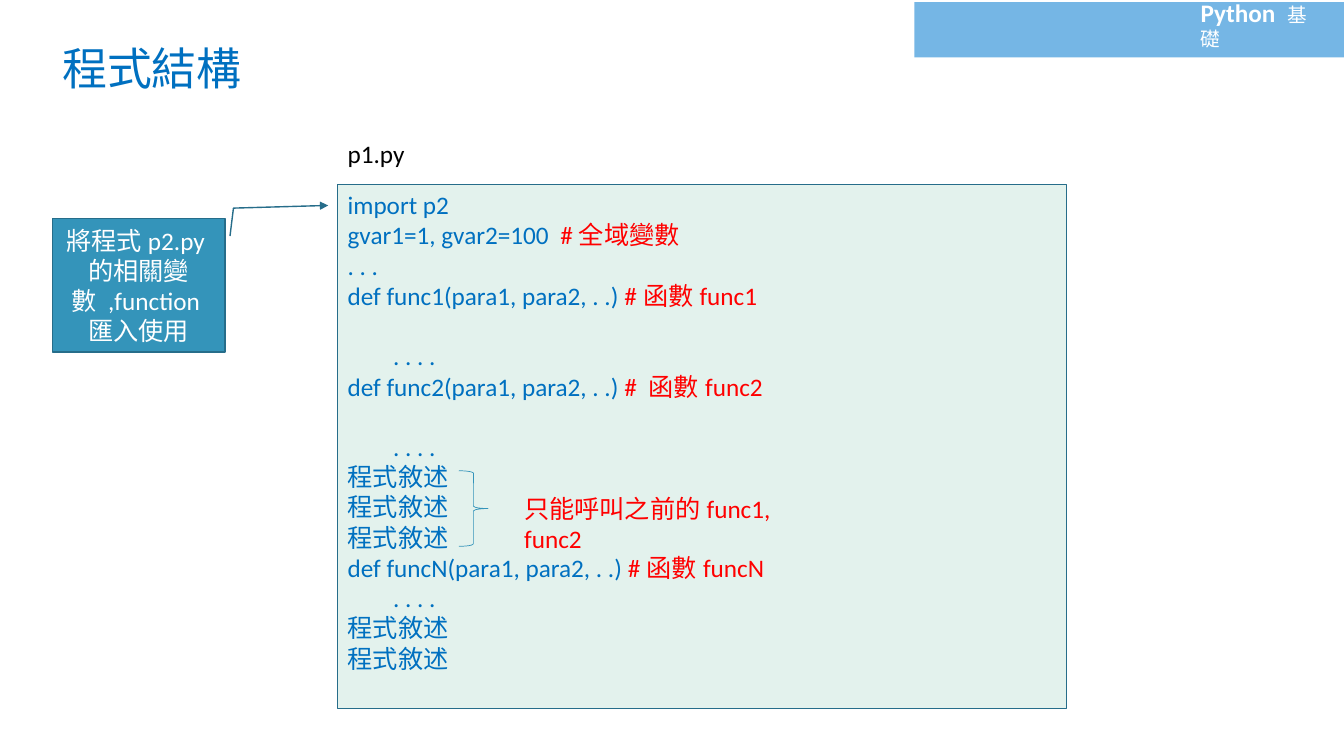
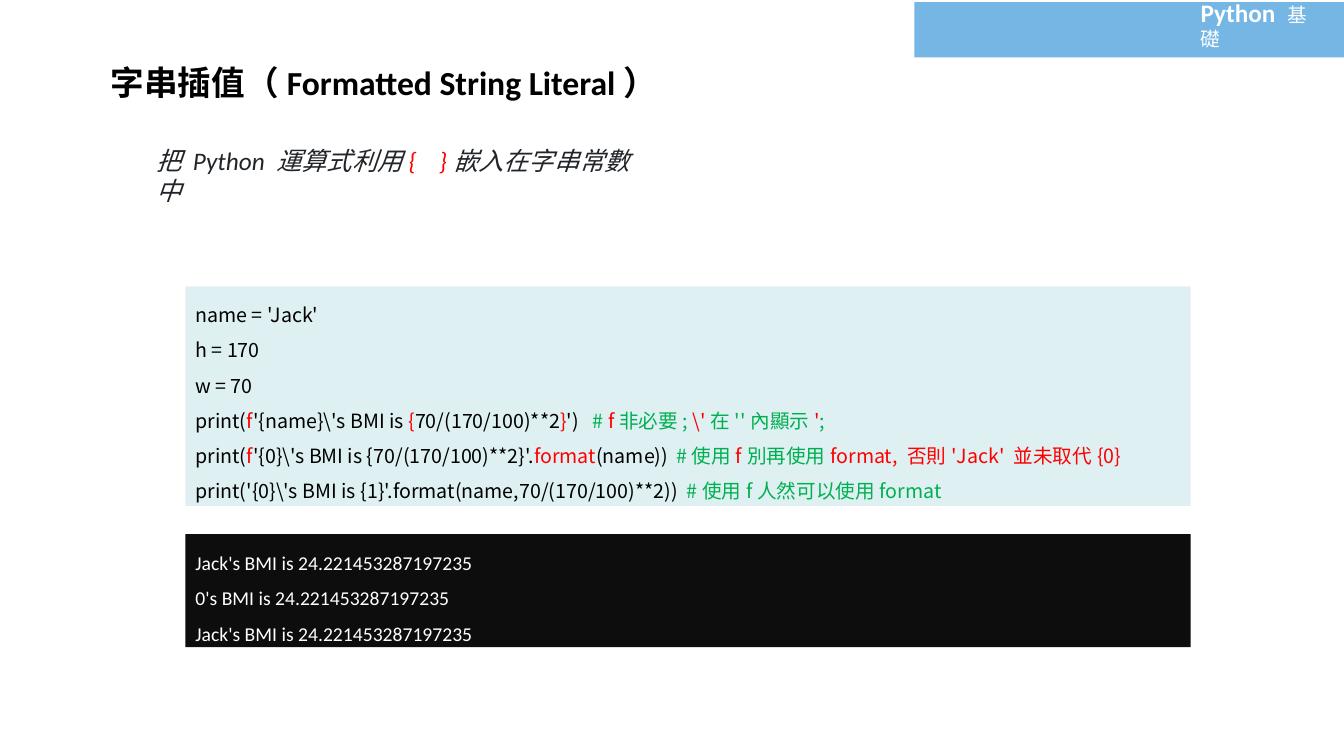
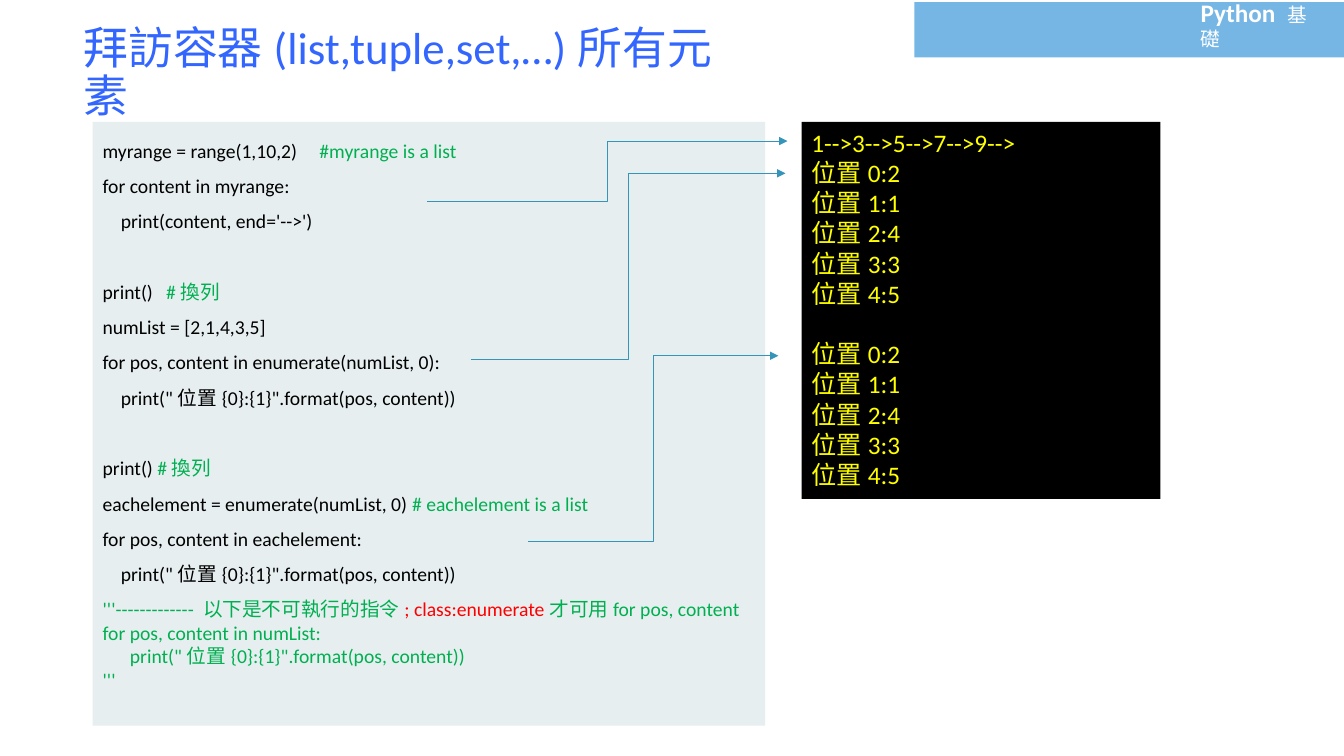
"""Build three teaching slides on Python program structure, f-strings and iteration."""
from typing import NamedTuple, Optional

from lxml.etree import SubElement
from pptx import Presentation
from pptx.dml.color import RGBColor
from pptx.enum.shapes import MSO_CONNECTOR as Link, MSO_SHAPE as Preset
from pptx.enum.text import MSO_ANCHOR as Anchor, PP_ALIGN as Align
from pptx.oxml.ns import qn
from pptx.util import Inches, Pt

WIDTH, HEIGHT = 13.33, 7.5
COLORS = dict(
    white="FFFFFF", black="000000", band="75B6E5", blue="0070C0", royal="3366FF",
    red="FF0000", green="00B050", yellow="FFFF00", ink="212529", accent="3494BA",
    edge="266D8A", mint="E3F2ED", aqua="DEF0F2", mist="E6EEF0", console="0D0D0D",
)


class Span(NamedTuple):
    text: str
    color: Optional[str] = None
    size: Optional[float] = None
    bold: Optional[bool] = None


class Line(NamedTuple):
    spans: list
    tab: float = 0
    indent: float = 0
    gap: float = 0
    spacing: Optional[float] = None


class Style(NamedTuple):
    size: float = 18
    color: str = "black"
    font: str = "Calibri"
    bold: bool = False
    italic: bool = False
    spacing: object = 1.0
    align: Align = Align.LEFT
    anchor: Anchor = Anchor.TOP


def line(*parts, **options):
    """Make a line from plain strings and (text, color) pairs."""
    return Line([Span(part) if isinstance(part, str) else Span(*part) for part in parts], **options)


def red(text):
    return text, "red"


def green(text):
    return text, "green"


HEADER = [line(("Python ", "white", 18, True), ("基礎", "white", 14))]
STATEMENT = line("程式敘述")
STRUCTURE = [
    line("import p2"),
    line("gvar1=1, gvar2=100\t", red("#全域變數"), tab=2.11),
    line(". . ."),
    line("def func1(para1, para2, . .)", red(" #函數func1")),
    line(". . . .", indent=0.45, gap=21.6),
    line("def func2(para1, para2, . .)", red(" # 函數func2")),
    line(". . . .", indent=0.45, gap=21.6),
    *[STATEMENT] * 3,
    line("def funcN(para1, para2, . .)", red(" #函數funcN")),
    line(". . . .", indent=0.45),
    *[STATEMENT] * 2,
]
CALL_NOTE = [line("只能呼叫之前的func1, func2")]
IMPORT_NOTE = [line("將程式p2.py的相關變數 ,function匯入使用")]

EMBED_NOTE = [line("把 Python 運算式利用", red("{    }"), "嵌入在字串常數中")]
FORMATTING = [
    line("name = 'Jack'"),
    line("h = 170"),
    line("w = 70"),
    line("print(", red("f"), "'{name}\\'s BMI is ", red("{"), "70/(170/100)**2", red("}"), "')\t",
         green("# "), red("f"), green("非必要; "), red("\\'"), green("在''內顯示"), red("'"),
         green(";"), tab=3.94),
    line("print(", red("f"), "'{0}\\'s BMI is {70/(170/100)**2}'.", red("format"), "(name))\t",
         green("#使用"), red("f"), green("別再使用"), red("format, 否則'Jack' 並未取代{0}"),
         tab=4.77),
    line("print('{0}\\'s BMI is {1}'.format(name,70/(170/100)**2))\t",
         green("#使用f人然可以使用format"), tab=4.87),
]
BMI_OUTPUT = [line(f"{name}'s BMI is 24.221453287197235") for name in ("Jack", "0", "Jack")]

PRINT_ITEM = 'print("位置{0}:{1}".format(pos, content))'
ITERATION = [
    line("myrange = range(1,10,2)\t", green("#myrange is a list"), tab=2.15),
    line("for content in myrange:"),
    line("print(content, end='-->')", indent=0.18),
    line("print()\t", green("#換列"), tab=0.63, gap=25.2),
    line("numList = [2,1,4,3,5]"),
    line("for pos, content in enumerate(numList, 0):"),
    line(PRINT_ITEM, indent=0.18),
    line("print() ", green("#換列"), gap=25.2),
    line("eachelement = enumerate(numList, 0) ", green("# eachelement is a list")),
    line("for pos, content in eachelement:"),
    line(PRINT_ITEM, indent=0.18),
    line(green("'''------------- 以下是不可執行的指令"), red("; class:enumerate"),
         green("才可用for pos, content")),
    line(green("for pos, content in numList:"), spacing=1.0),
    line(green(PRINT_ITEM), indent=0.27, spacing=1.0),
    line(green("'''"), spacing=1.0),
]
POSITIONS = [f"位置{index}:{value}" for index, value in enumerate((2, 1, 4, 3, 5))]
LOOP_OUTPUT = [
    line("1-->3-->5-->7-->9-->"),
    *[line(text) for text in POSITIONS],
    line(POSITIONS[0], gap=21.6),
    *[line(text) for text in POSITIONS[1:]],
]
OUTPUT_ARROWS = [
    ((4.24, 2), (7.81, 1.4)),
    ((4.67, 3.57), (7.79, 1.72)),
    ((5.24, 5.37), (7.72, 3.53)),
]


def rgb(name):
    return RGBColor.from_string(COLORS[name])


def write(shape, lines, style):
    """Fill a shape with styled lines."""
    frame = shape.text_frame
    frame.word_wrap = True
    frame.vertical_anchor = style.anchor
    for index, item in enumerate(lines):
        para = frame.add_paragraph() if index else frame.paragraphs[0]
        para.alignment = style.align
        para.line_spacing = item.spacing or style.spacing
        para.space_before = Pt(item.gap)
        properties = para._p.get_or_add_pPr()
        if item.indent:
            properties.set("marL", str(Inches(item.indent)))
            properties.set("indent", "0")
        if item.tab:
            stops = SubElement(properties, qn("a:tabLst"))
            SubElement(stops, qn("a:tab"), pos=str(Inches(item.tab)), algn="l")
        for span in item.spans:
            run = para.add_run()
            run.text = span.text
            font = run.font
            font.name = style.font
            font.size = Pt(span.size or style.size)
            font.bold = span.bold or style.bold
            font.italic = style.italic
            font.color.rgb = rgb(span.color or style.color)


def add_text(page, at, lines, style):
    write(page.shapes.add_textbox(*map(Inches, at)), lines, style)


def add_box(page, at, fill=None, edge=None, weight=1, preset=Preset.RECTANGLE):
    box = page.shapes.add_shape(preset, *map(Inches, at))
    box.shadow.inherit = False
    if fill:
        box.fill.solid()
        box.fill.fore_color.rgb = rgb(fill)
    else:
        box.fill.background()
    if edge:
        box.line.color.rgb = rgb(edge)
        box.line.width = Pt(weight)
    else:
        box.line.fill.background()
    return box


def add_panel(page, at, fill, lines, style, edge=None):
    write(add_box(page, at, fill, edge), lines, style)


def add_arrowhead(shape):
    SubElement(shape.line._get_or_add_ln(), qn("a:tailEnd"), type="triangle")


def add_arrow(page, start, end):
    arrow = page.shapes.add_connector(Link.ELBOW, *map(Inches, start + end))
    arrow.line.color.rgb = rgb("accent")
    arrow.line.width = Pt(0.5)
    add_arrowhead(arrow)
    SubElement(arrow._element.spPr, qn("a:effectLst"))


def add_page(deck, title, at, color, size=32, bold=False):
    """Add a page with the shared band and a title."""
    page = deck.slides.add_slide(deck.slide_layouts[6])
    add_box(page, (9.07, 0.02, WIDTH - 9.07, 0.55), "band")
    add_text(page, (11.81, -0.08, 1.4, 0.4), HEADER, Style())
    add_text(page, at, [line(title)],
             Style(size, color, bold=bold, spacing=0.9, anchor=Anchor.MIDDLE))
    return page


def build_structure(deck):
    page = add_page(deck, "程式結構", (0.52, 0.42, 2.71, 0.56), "blue")
    add_text(page, (3.35, 1.32, 0.77, 0.4), [line("p1.py")], Style())
    add_panel(page, (3.35, 1.83, 7.23, 5.2), "mint", STRUCTURE, Style(color="blue"), "edge")
    add_box(page, (4.55, 4.67, 0.29, 0.75), None, "accent", 0.5, Preset.RIGHT_BRACE)
    add_text(page, (5.1, 4.84, 3.25, 0.4), CALL_NOTE, Style(color="red"))
    callout = add_box(page, (0.52, 2.17, 1.71, 1.32), "accent", "edge",
                      preset=Preset.LINE_CALLOUT_2)
    for index, value in enumerate((0.13, 1.03, -0.08, 1.05, -0.1, 1.6)):
        callout.adjustments[index] = value
    add_arrowhead(callout)
    write(callout, IMPORT_NOTE, Style(color="white", align=Align.CENTER, anchor=Anchor.MIDDLE))


def build_formatting(deck):
    page = add_page(deck, "字串插值（Formatted String Literal）", (1, 0.34, 11.5, 1),
                    "black", 24, True)
    left, width = 1.84, 9.97
    add_panel(page, (left, 2.84, width, 2.18), "aqua", FORMATTING,
              Style(14, font="Noto Sans CJK TC", spacing=Pt(25.2)))
    add_text(page, (1.45, 1.39, 4.97, 0.4), EMBED_NOTE, Style(color="ink", italic=True))
    add_panel(page, (left, 5.3, width, 1.12), "console", BMI_OUTPUT,
              Style(14, "white", spacing=1.5))


def build_iteration(deck):
    page = add_page(deck, "拜訪容器(list,tuple,set,…)所有元素", (0.73, 0.4, 6.85, 0.67), "royal")
    top = 1.21
    add_panel(page, (0.92, top, 6.67, 5.99), "mist", ITERATION, Style(14, spacing=1.5))
    add_panel(page, (7.95, top, 3.56, 3.74), "black", LOOP_OUTPUT, Style(color="yellow"))
    for start, end in OUTPUT_ARROWS:
        add_arrow(page, start, end)


def main():
    deck = Presentation()
    deck.slide_width, deck.slide_height = Inches(WIDTH), Inches(HEIGHT)
    for build in (build_structure, build_formatting, build_iteration):
        build(deck)
    deck.save("out.pptx")


if __name__ == "__main__":
    main()
